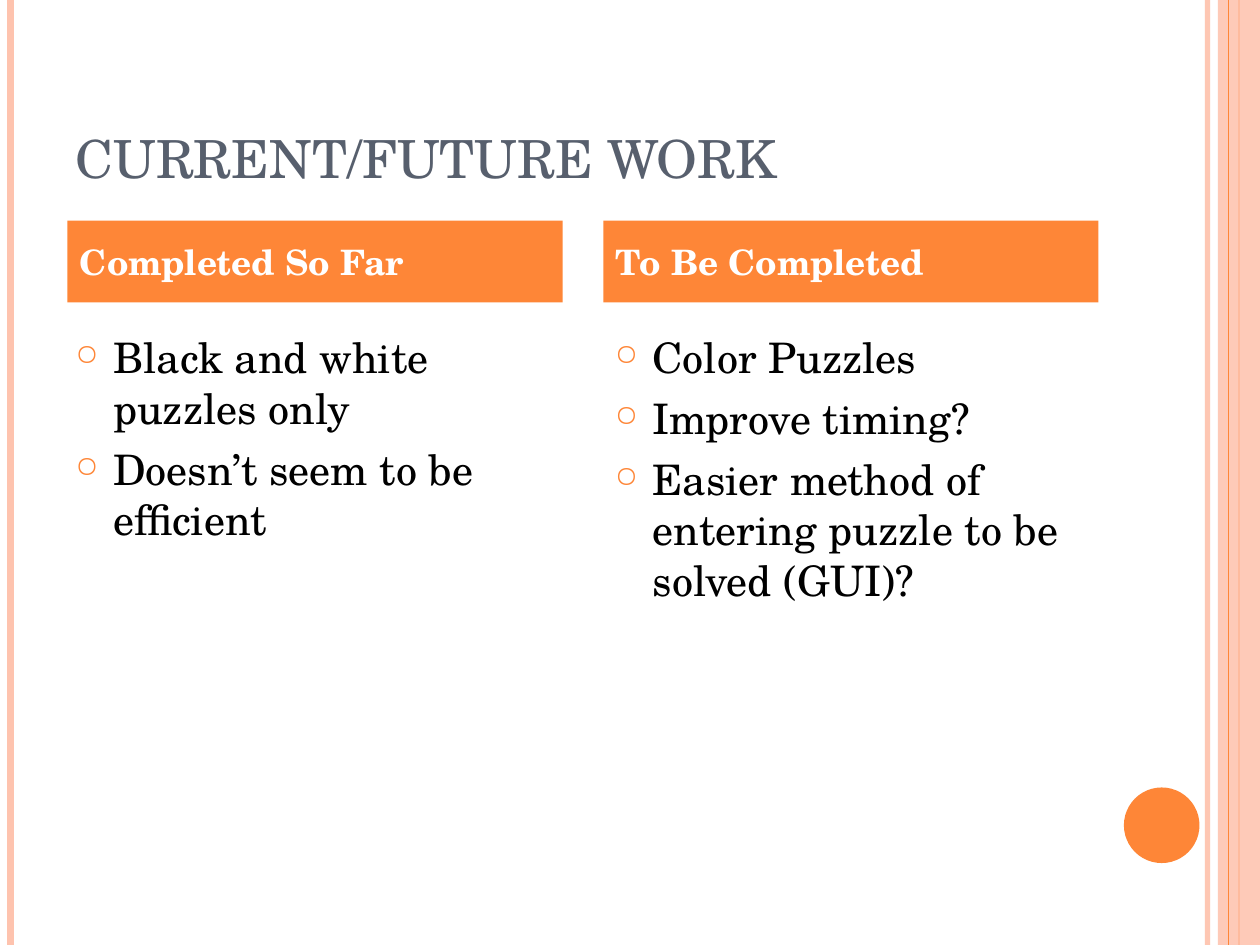
"""Build the current and future work slide with two headed lists."""
from dataclasses import dataclass

from lxml import etree
from pptx import Presentation
from pptx.dml.color import RGBColor
from pptx.enum import shapes, text
from pptx.oxml import ns
from pptx.util import Pt

ORANGE = RGBColor(0xFE, 0x86, 0x37)
PEACH = RGBColor(0xFE, 0xC3, 0xAE)
SLATE = RGBColor(0x57, 0x5F, 0x6D)
BLACK = RGBColor(0, 0, 0)
WHITE = RGBColor(255, 255, 255)
FACE = "TeX Gyre Schola"
WIDE, HIGH = 720, 540


@dataclass(frozen=True)
class Stripe:
    x: float
    width: float
    color: RGBColor
    alpha: int = 100


@dataclass(frozen=True)
class Column:
    head_x: float
    body_x: float
    head: str
    items: tuple[str, ...]


BACK = (
    Stripe(690, 3, PEACH, 93),
    Stripe(6, 4.5, PEACH),
    Stripe(708, 1.5, ORANGE),
)
FRONT = Stripe(702, 0.75, ORANGE)
COLUMNS = (
    Column(38.5, 36, "Completed So Far",
           ("Black and white puzzles only", "Doesn’t seem to be efficient")),
    Column(344.75, 344.25, "To Be Completed",
           ("Color Puzzles", "Improve timing?",
            "Easier method of entering puzzle to be solved (GUI)?")),
)


def fade(shape, alpha: int) -> None:
    """Set the opacity, in percent, of the shape's first colour."""
    color = next(shape._element.spPr.iter(ns.qn("a:srgbClr")))
    etree.SubElement(color, ns.qn("a:alpha"), val=str(alpha * 1000))


def draw_stripe(slide, stripe: Stripe) -> None:
    """Draw a line down the full height of the slide."""
    x = Pt(stripe.x)
    line = slide.shapes.add_connector(
        shapes.MSO_CONNECTOR.STRAIGHT, x, 0, x, Pt(HIGH))
    line.line.width = Pt(stripe.width)
    line.line.color.rgb = stripe.color
    if stripe.alpha < 100:
        fade(line, stripe.alpha)
    etree.SubElement(line._element.spPr, ns.qn("a:effectLst"))


def draw_shape(slide, kind, x: float, y: float, w: float, h: float,
               color: RGBColor):
    """Draw a plain filled shape without outline."""
    shape = slide.shapes.add_shape(kind, Pt(x), Pt(y), Pt(w), Pt(h))
    shape.shadow.inherit = False
    shape.fill.solid()
    shape.fill.fore_color.rgb = color
    shape.line.fill.background()
    return shape


def write(shape, lines: tuple[str, ...], size: float, color: RGBColor,
          anchor, bold: bool = False, space: float = 0) -> None:
    """Fill a shape with left-aligned paragraphs in one style."""
    frame = shape.text_frame
    frame.word_wrap = True
    frame.vertical_anchor = anchor
    frame.text = "\n".join(lines)
    for para in frame.paragraphs:
        para.alignment = text.PP_ALIGN.LEFT
        para.space_before = Pt(space)
        font = para.font
        font.name, font.size, font.bold = FACE, Pt(size), bold
        font.color.rgb = color


def add_bullet(para) -> None:
    """Give a paragraph a hanging orange ring bullet."""
    props = para._p.get_or_add_pPr()
    indent = Pt(21.6)
    props.set("marL", str(indent))
    props.set("indent", str(-indent))
    tint = etree.Element(ns.qn("a:buClr"))
    etree.SubElement(tint, ns.qn("a:srgbClr"), val=str(ORANGE))
    size = etree.Element(ns.qn("a:buSzPct"), val="70000")
    mark = etree.Element(ns.qn("a:buChar"), char="○")
    style = props.find(ns.qn("a:defRPr"))
    for part in (tint, size, mark):
        style.addprevious(part)


def draw_body(slide, column: Column) -> None:
    """Draw the bulleted list of a column."""
    box = slide.shapes.add_textbox(
        Pt(column.body_x), Pt(186), Pt(288), Pt(306))
    write(box, column.items, 24, BLACK, text.MSO_ANCHOR.TOP, space=6)
    for para in box.text_frame.paragraphs:
        add_bullet(para)


def draw_head(slide, column: Column) -> None:
    """Draw the heading bar of a column."""
    bar = draw_shape(slide, shapes.MSO_SHAPE.RECTANGLE,
                     column.head_x, 126, 283, 46.8, ORANGE)
    write(bar, (column.head,), 20, WHITE, text.MSO_ANCHOR.MIDDLE,
          bold=True, space=6)


def main() -> None:
    """Build and save the slide."""
    deck = Presentation()
    deck.slide_width, deck.slide_height = Pt(WIDE), Pt(HIGH)
    slide = deck.slides.add_slide(deck.slide_layouts[6])
    for stripe in BACK:
        draw_stripe(slide, stripe)
    band = draw_shape(slide, shapes.MSO_SHAPE.RECTANGLE,
                      696, 0, 24, HIGH, PEACH)
    fade(band, 87)
    draw_stripe(slide, FRONT)
    draw_shape(slide, shapes.MSO_SHAPE.OVAL, 642.25, 450, 43.2, 43.2, ORANGE)
    title = slide.shapes.add_textbox(Pt(36), Pt(21.6), Pt(594), Pt(90))
    write(title, ("CURRENT/FUTURE WORK",), 30, SLATE, text.MSO_ANCHOR.BOTTOM)
    for draw in (draw_body, draw_head):
        for column in COLUMNS:
            draw(slide, column)
    deck.save("out.pptx")


if __name__ == "__main__":
    main()
